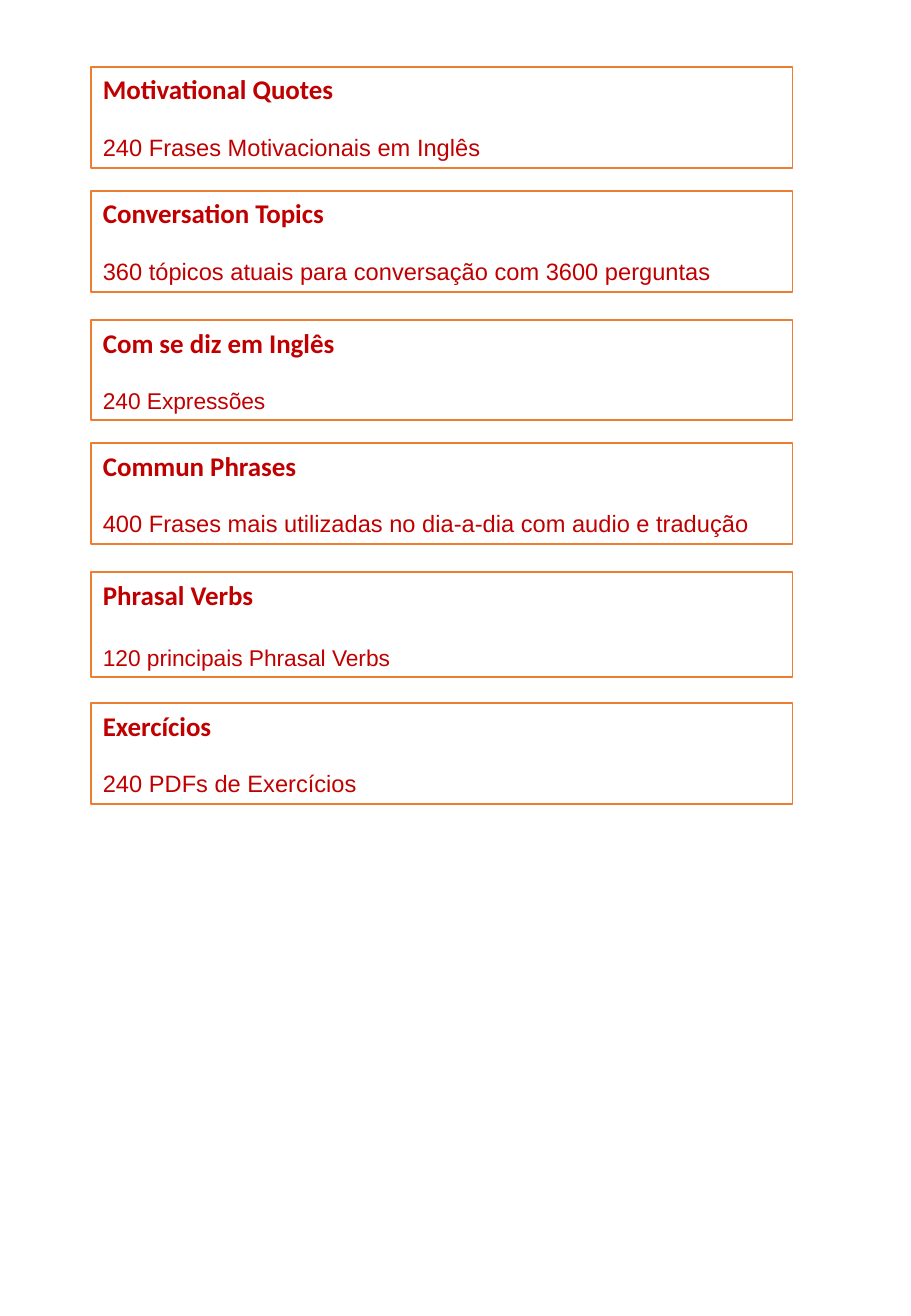
from dataclasses import dataclass

from pptx import Presentation
from pptx import util as u
from pptx.dml.color import RGBColor
from pptx.enum import text

MATERIALS = [
    ("Motivational Quotes", "240 Frases Motivacionais em Inglês", 67, 101, 14, 16.5),
    ("Conversation Topics", "360 tópicos atuais para conversação com 3600 perguntas", 191, 101, 14, 16.5),
    ("Com se diz em Inglês", "240 Expressões", 320, 100, 13.5, 16.5),
    ("Commun Phrases", "400 Frases mais utilizadas no dia-a-dia com audio e tradução", 443, 101, 14, 16.5),
    ("Phrasal Verbs", "120 principais Phrasal Verbs", 572, 105, 13.5, 19.5),
    ("Exercícios", "240 PDFs de Exercícios", 703, 101, 14, 16.5),
]
LEFT, WIDTH = 91, 702


@dataclass(frozen=True)
class Theme:
    ink: RGBColor = RGBColor(0xC0, 0x00, 0x00)
    border: RGBColor = RGBColor(0xED, 0x7D, 0x31)
    border_width: float = 0.75
    heading_font: str = "Calibri"
    detail_font: str = "Arial"
    heading_size: float = 16


THEME = Theme()


def px(length):
    return u.Emu(round(length * u.Inches(1) / 121.5))


def write(paragraph, words, font, size, bold):
    paragraph.text = words
    paragraph.font.name = font
    paragraph.font.size = u.Pt(size)
    paragraph.font.bold = bold
    paragraph.font.color.rgb = THEME.ink


def add_card(slide, heading, detail, top, height, detail_size, gap):
    card = slide.shapes.add_textbox(px(LEFT), px(top), px(WIDTH), px(height))
    card.line.color.rgb = THEME.border
    card.line.width = u.Pt(THEME.border_width)
    frame = card.text_frame
    frame.word_wrap = True
    frame.auto_size = text.MSO_AUTO_SIZE.SHAPE_TO_FIT_TEXT
    write(frame.paragraphs[0], heading, THEME.heading_font, THEME.heading_size, True)
    description = frame.add_paragraph()
    write(description, detail, THEME.detail_font, detail_size, False)
    description.space_before = u.Pt(gap)


deck = Presentation()
deck.slide_width, deck.slide_height = u.Inches(7.5), u.Inches(10.83)
page = deck.slides.add_slide(deck.slide_layouts[6])
for material in MATERIALS:
    add_card(page, *material)
deck.save("out.pptx")
